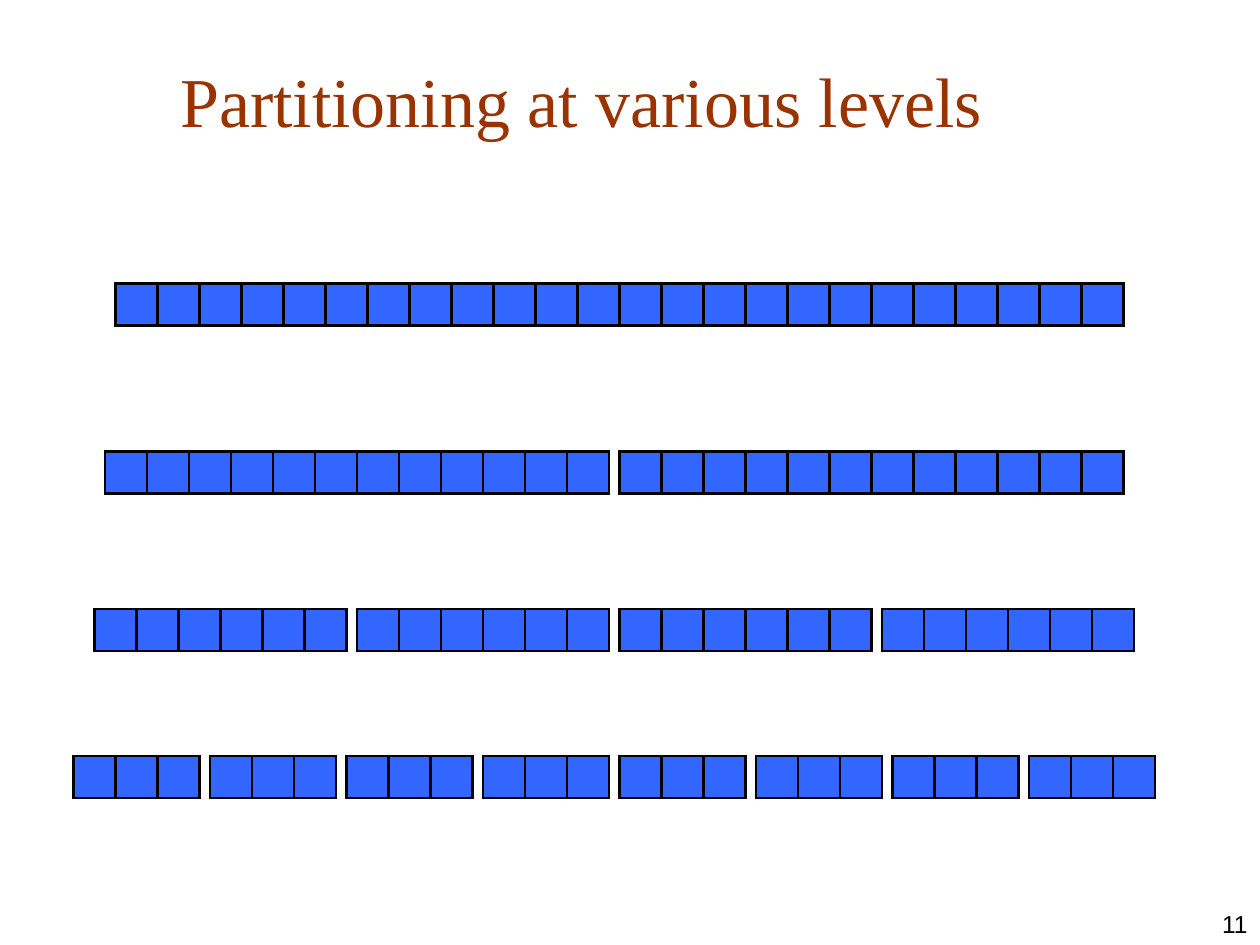
from lxml import etree
from pptx import Presentation
from pptx.dml.color import RGBColor
from pptx.enum.shapes import MSO_SHAPE as Shape
from pptx.enum.text import MSO_ANCHOR as Anchor, MSO_AUTO_SIZE as AutoSize, PP_ALIGN as Align
from pptx.oxml.ns import qn
from pptx.util import Inches, Pt

TITLE = "Partitioning at various levels"
PAGE_NUMBER = "11"
CELLS = 24
# (number of partitions, top in grid units)
LEVELS = [(1, 27), (2, 43), (4, 58), (8, 72)]

COLORS = {"title": "993300", "cell": "3366FF", "ink": "000000"}

TITLE_BOX = [Inches(v) for v in (1.33, 0.25, 8.52, 0.92)]
NUMBER_BOX = [Inches(v) for v in (7.92, 7, 2.08, 0.5)]

UNIT = Inches(1) // 12   # grid step
CELL = 4                 # cell side, in grid units
GAP = 1                  # space between partitions, in grid units
MIDDLE = 59              # where the right half starts, in grid units


def rgb(name):
    return RGBColor.from_string(COLORS[name])


def write(sp, text, font, size, color, align):
    tf = sp.text_frame
    tf.word_wrap = True
    tf.auto_size = AutoSize.NONE
    tf.vertical_anchor = Anchor.BOTTOM
    p = tf.paragraphs[0]
    p.alignment = align
    r = p.add_run()
    r.text = text
    r.font.name, r.font.size = font, Pt(size)
    r.font.color.rgb = rgb(color)


def add_level(slide, parts, top):
    """Draw one row of cells, split into equal partitions."""
    group = slide.shapes.add_group_shape()
    per_part = CELLS // parts
    left = MIDDLE - CELLS // 2 * CELL - parts // 2 * GAP
    for i in range(CELLS):
        x = left + i * CELL + i // per_part * GAP
        sp = group.shapes.add_shape(
            Shape.RECTANGLE, x * UNIT, top * UNIT, CELL * UNIT, CELL * UNIT)
        sp.shadow.inherit = False
        sp.fill.solid()
        sp.fill.fore_color.rgb = rgb("cell")
        sp.line.color.rgb = rgb("ink")
        sp.line.width = Pt(1.25)
        ln = sp.element.spPr.find(qn("a:ln"))
        etree.SubElement(ln, qn("a:miter"), lim="800000")  # square corners


def main():
    prs = Presentation()
    prs.slide_width, prs.slide_height = Inches(10), Inches(7.5)
    slide = prs.slides.add_slide(prs.slide_layouts[5])

    title = slide.shapes.title
    title.left, title.top, title.width, title.height = TITLE_BOX
    write(title, TITLE, "Times New Roman", 40, "title", Align.LEFT)

    number = slide.shapes.add_textbox(*NUMBER_BOX)
    write(number, PAGE_NUMBER, "Arial", 14, "ink", Align.RIGHT)

    for parts, top in LEVELS:
        add_level(slide, parts, top)

    prs.save("out.pptx")


if __name__ == "__main__":
    main()
